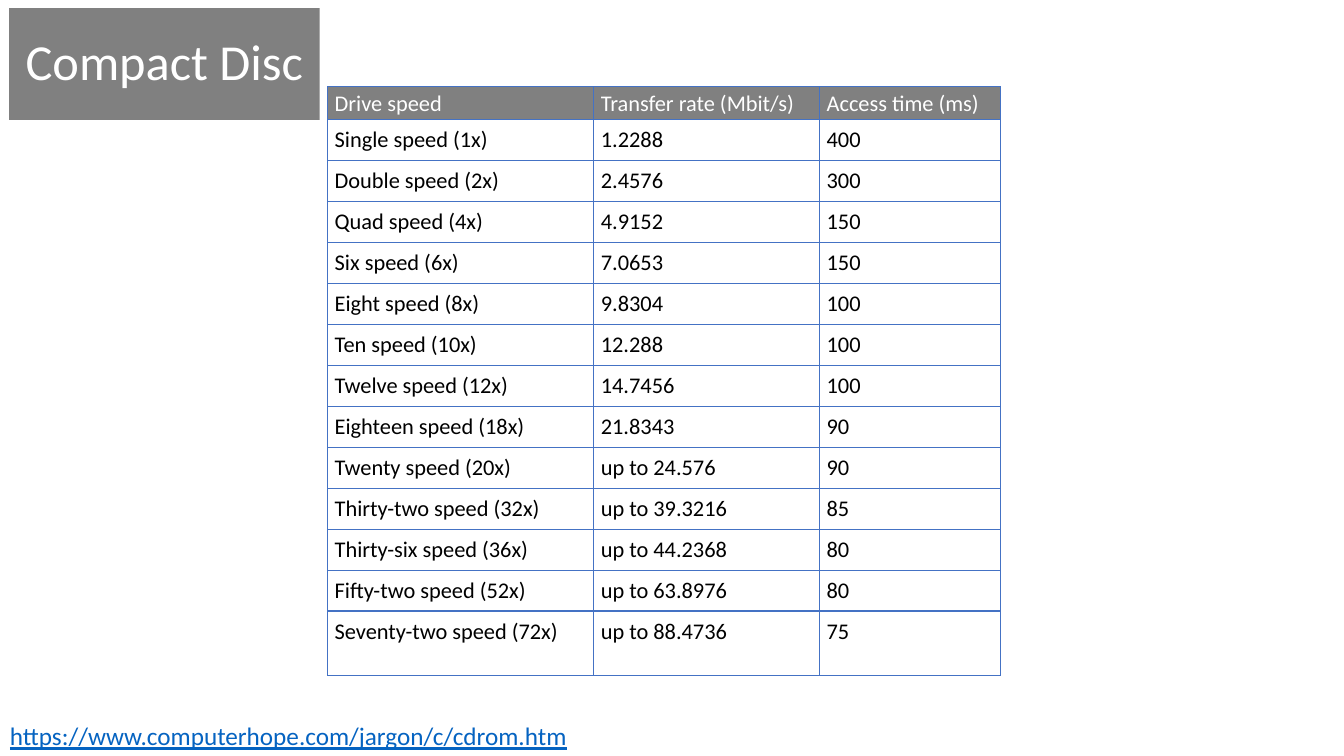
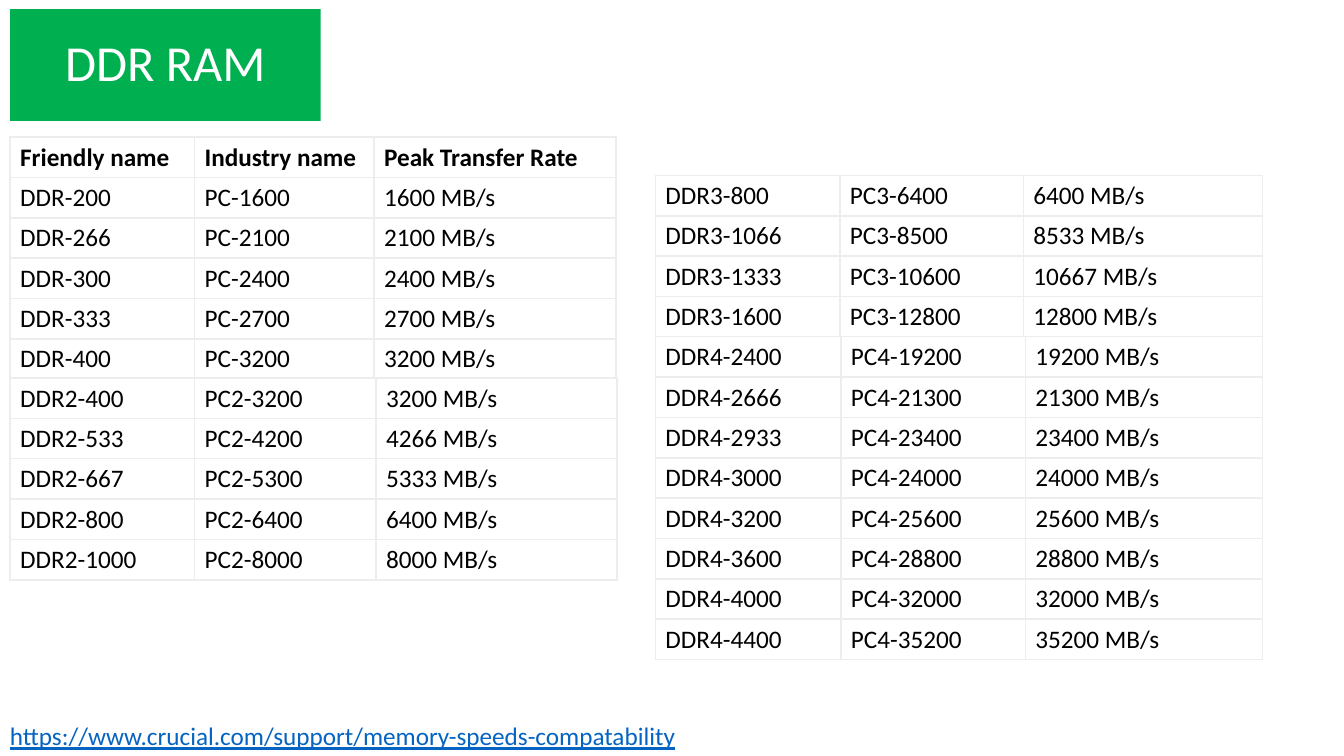
from lxml import etree
from pptx import Presentation
from pptx.dml.color import RGBColor
from pptx.enum import shapes, text
from pptx.oxml.ns import qn
from pptx.util import Inches, Pt

COLORS = {
    "grey": "808080",
    "green": "00B050",
    "white": "FFFFFF",
    "black": "000000",
    "link": "0563C1",
    "blue_rule": "4472C4",
    "pale_rule": "EDEDEE",
}
FONT = "Calibri"


def add_run(paragraph, words, size, color, bold=False, underline=False):
    run = paragraph.add_run()
    run.text = words
    run.font.name = FONT
    run.font.size = Pt(size)
    run.font.bold = bold
    run.font.underline = underline
    run.font.color.rgb = RGBColor.from_string(COLORS[color])


def add_grid(slide, left, top, widths, heights, rows, rule, rule_pt, size,
             header=None, bold_header=False, header_inset=(0.1, 0.05),
             body_inset=(0.1, 0.05), body_anchor=text.MSO_ANCHOR.MIDDLE):
    """Bordered table; header names the fill of a coloured first row."""
    grid = slide.shapes.add_table(
        len(rows), len(widths), Inches(left), Inches(top),
        Inches(sum(widths)), Inches(sum(heights))).table
    grid.first_row = grid.horz_banding = False
    for column, width in zip(grid.columns, widths):
        column.width = Inches(width)
    for r, (row, height) in enumerate(zip(rows, heights)):
        grid.rows[r].height = Inches(height)
        colored = r == 0 and header is not None
        side, end = header_inset if colored else body_inset
        for c, words in enumerate(row):
            cell = grid.cell(r, c)
            cell.margin_left = cell.margin_right = Inches(side)
            cell.margin_top = cell.margin_bottom = Inches(end)
            cell.vertical_anchor = text.MSO_ANCHOR.MIDDLE if colored else body_anchor
            # Borders come before the fill in the cell properties
            properties = cell._tc.get_or_add_tcPr()
            for edge in ("a:lnL", "a:lnR", "a:lnT", "a:lnB"):
                border = etree.SubElement(properties, qn(edge), w=str(Pt(rule_pt)))
                paint = etree.SubElement(border, qn("a:solidFill"))
                etree.SubElement(paint, qn("a:srgbClr"), val=COLORS[rule])
            cell.fill.solid()
            cell.fill.fore_color.rgb = RGBColor.from_string(
                COLORS[header if colored else "white"])
            add_run(cell.text_frame.paragraphs[0], words, size,
                    "white" if colored else "black", bold=bold_header and r == 0)


prs = Presentation()
prs.slide_width, prs.slide_height = Inches(13.33), Inches(7.5)

# Shared frame: title block and source address
pages = [
    ("Compact Disc", "grey", 0.09, 0.08, 6.67,
     "https://www.computerhope.com/jargon/c/cdrom.htm"),
    ("DDR RAM", "green", 0.1, 0.09, 7.26,
     "https://www.crucial.com/support/memory-speeds-compatability"),
]
slides = []
for title, color, left, top, source_width, address in pages:
    slide = prs.slides.add_slide(prs.slide_layouts[6])
    slides.append(slide)

    block = slide.shapes.add_shape(shapes.MSO_SHAPE.RECTANGLE, Inches(left),
                                   Inches(top), Inches(3.08), Inches(1.11))
    block.shadow.inherit = False
    block.fill.solid()
    block.fill.fore_color.rgb = RGBColor.from_string(COLORS[color])
    block.line.fill.background()
    frame = block.text_frame
    frame.word_wrap = True
    frame.vertical_anchor = text.MSO_ANCHOR.MIDDLE
    frame.margin_left = frame.margin_right = Inches(0.01)
    frame.margin_top = frame.margin_bottom = Inches(0.01)
    heading = frame.paragraphs[0]
    heading.alignment = text.PP_ALIGN.CENTER
    heading.line_spacing = 0.9
    add_run(heading, title, 36, "white")

    source = slide.shapes.add_textbox(0, Inches(7.1), Inches(source_width), Inches(0.4))
    source.text_frame.word_wrap = True
    add_run(source.text_frame.paragraphs[0], address, 18, "link", underline=True)

disc_slide, ram_slide = slides

# Compact Disc: drive speeds
drive_speeds = [
    ("Drive speed", "Transfer rate (Mbit/s)", "Access time (ms)"),
    ("Single speed (1x)", "1.2288", "400"),
    ("Double speed (2x)", "2.4576", "300"),
    ("Quad speed (4x)", "4.9152", "150"),
    ("Six speed (6x)", "7.0653", "150"),
    ("Eight speed (8x)", "9.8304", "100"),
    ("Ten speed (10x)", "12.288", "100"),
    ("Twelve speed (12x)", "14.7456", "100"),
    ("Eighteen speed (18x)", "21.8343", "90"),
    ("Twenty speed (20x)", "up to 24.576", "90"),
    ("Thirty-two speed (32x)", "up to 39.3216", "85"),
    ("Thirty-six speed (36x)", "up to 44.2368", "80"),
    ("Fifty-two speed (52x)", "up to 63.8976", "80"),
    ("Seventy-two speed (72x)", "up to 88.4736", "75"),
]
add_grid(disc_slide, 3.25, 0.86, (2.64, 2.24, 1.79), [0.32] + [0.4] * 12 + [0.64],
         drive_speeds, "blue_rule", 1, 16, header="grey",
         header_inset=(0.07, 0.03), body_inset=(0.07, 0.07),
         body_anchor=text.MSO_ANCHOR.TOP)

# DDR RAM: one table per generation, two stacks
generations = [
    (0.1, 1.36, (1.83, 1.78, 2.4), [
        ("Friendly name", "Industry name", "Peak Transfer Rate"),
        ("DDR-200", "PC-1600", "1600 MB/s"),
        ("DDR-266", "PC-2100", "2100 MB/s"),
        ("DDR-300", "PC-2400", "2400 MB/s"),
        ("DDR-333", "PC-2700", "2700 MB/s"),
        ("DDR-400", "PC-3200", "3200 MB/s"),
    ]),
    (0.1, 3.75, (1.83, 1.8, 2.39), [
        ("DDR2-400", "PC2-3200", "3200 MB/s"),
        ("DDR2-533", "PC2-4200", "4266 MB/s"),
        ("DDR2-667", "PC2-5300", "5333 MB/s"),
        ("DDR2-800", "PC2-6400", "6400 MB/s"),
        ("DDR2-1000", "PC2-8000", "8000 MB/s"),
    ]),
    (6.5, 1.74, (1.83, 1.82, 2.37), [
        ("DDR3-800", "PC3-6400", "6400 MB/s"),
        ("DDR3-1066", "PC3-8500", "8533 MB/s"),
        ("DDR3-1333", "PC3-10600", "10667 MB/s"),
        ("DDR3-1600", "PC3-12800", "12800 MB/s"),
    ]),
    (6.5, 3.34, (1.84, 1.83, 2.35), [
        ("DDR4-2400", "PC4-19200", "19200 MB/s"),
        ("DDR4-2666", "PC4-21300", "21300 MB/s"),
        ("DDR4-2933", "PC4-23400", "23400 MB/s"),
        ("DDR4-3000", "PC4-24000", "24000 MB/s"),
        ("DDR4-3200", "PC4-25600", "25600 MB/s"),
        ("DDR4-3600", "PC4-28800", "28800 MB/s"),
        ("DDR4-4000", "PC4-32000", "32000 MB/s"),
        ("DDR4-4400", "PC4-35200", "35200 MB/s"),
    ]),
]
for left, top, widths, modules_listed in generations:
    add_grid(ram_slide, left, top, widths, [0.4] * len(modules_listed),
             modules_listed, "pale_rule", 1.2, 18,
             bold_header=modules_listed[0][0] == "Friendly name")

prs.save("out.pptx")
